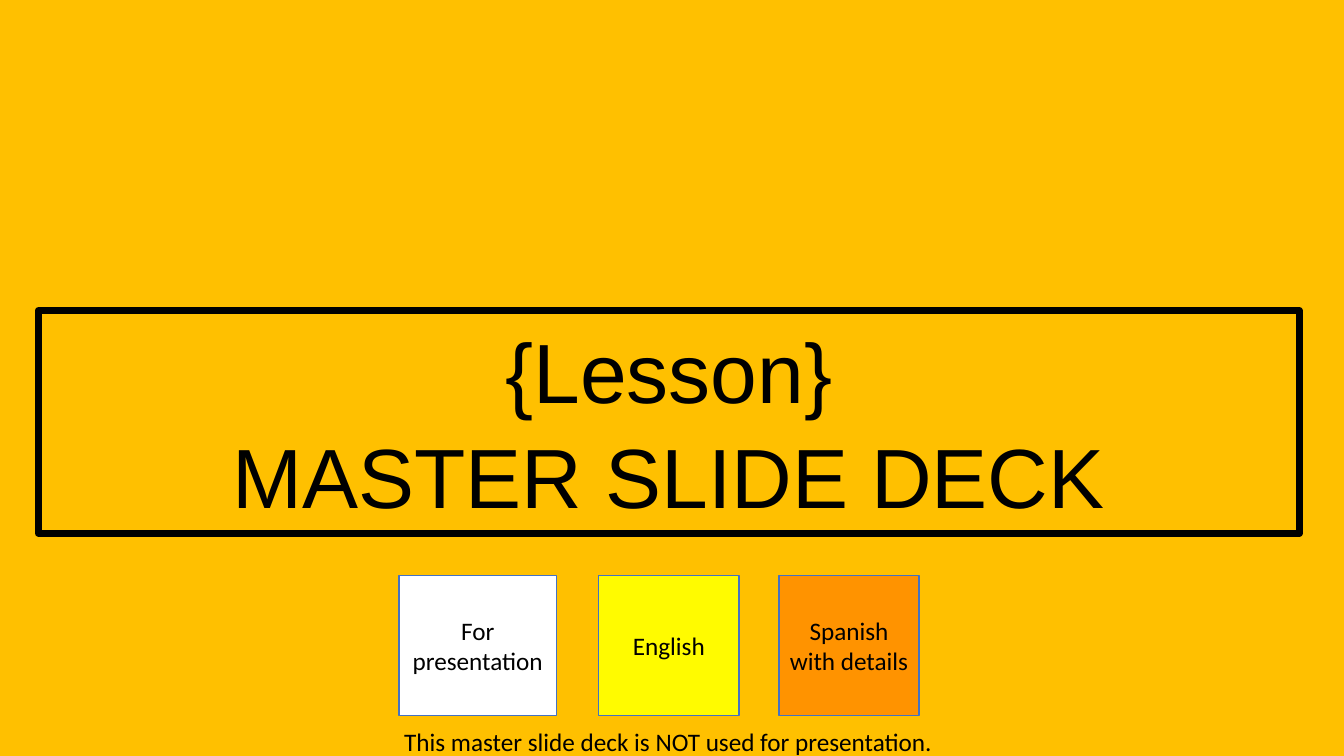
from dataclasses import dataclass
from typing import Optional

import lxml.etree
import pptx
import pptx.dml.color
import pptx.enum.shapes
import pptx.enum.text
import pptx.oxml.ns
import pptx.util

Pt = pptx.util.Pt
PP_ALIGN = pptx.enum.text.PP_ALIGN
MSO_ANCHOR = pptx.enum.text.MSO_ANCHOR


@dataclass
class Box:
    """A rectangle with text; lengths in points."""
    text: str
    left: float
    top: float
    width: float
    height: float
    fill: Optional[str]
    line: str = "4472C4"
    line_width: float = 1
    font: str = "Calibri"
    size: float = 18
    anchor: MSO_ANCHOR = MSO_ANCHOR.MIDDLE
    margins: tuple[float, float, float, float] = (3.6, 3.6, 3.6, 3.6)


def color(value: str) -> pptx.dml.color.RGBColor:
    return pptx.dml.color.RGBColor.from_string(value)


def format_text(shape, text: str, font: str, size: float, align: PP_ALIGN,
                margins: tuple[float, float, float, float]) -> None:
    text_frame = shape.text_frame
    text_frame.text = text
    (text_frame.margin_left, text_frame.margin_top,
     text_frame.margin_right, text_frame.margin_bottom) = map(Pt, margins)
    for paragraph in text_frame.paragraphs:
        paragraph.alignment = align
        for run in paragraph.runs:
            run.font.name = font
            run.font.size = Pt(size)
            run.font.color.rgb = color("000000")


def draw_box(slide, box: Box):
    shape = slide.shapes.add_shape(
        pptx.enum.shapes.MSO_SHAPE.RECTANGLE,
        Pt(box.left), Pt(box.top), Pt(box.width), Pt(box.height))
    shape.shadow.inherit = False
    if box.fill is None:
        shape.fill.background()
    else:
        shape.fill.solid()
        shape.fill.fore_color.rgb = color(box.fill)
    shape.line.color.rgb = color(box.line)
    shape.line.width = Pt(box.line_width)
    format_text(shape, box.text, box.font, box.size, PP_ALIGN.CENTER, box.margins)
    shape.text_frame.word_wrap = True
    shape.text_frame.vertical_anchor = box.anchor
    return shape


def draw_title(slide) -> None:
    shape = draw_box(slide, Box(
        "{Lesson}\nMASTER SLIDE DECK", 27.4, 221.8, 900.7, 159.1, None,
        "000000", 5, "Arial", 60, MSO_ANCHOR.TOP, (7.2, 14.4, 7.2, 3.6)))
    for paragraph in shape.text_frame.paragraphs:
        paragraph.line_spacing = 0.9
        paragraph.space_before = Pt(10)
    # Rounded line corners
    outline = shape.line._get_or_add_ln()
    lxml.etree.SubElement(outline, pptx.oxml.ns.qn("a:round"))


def draw_note(slide) -> None:
    note = slide.shapes.add_textbox(Pt(285.1), Pt(515.5), Pt(389.5), Pt(26))
    format_text(note, "This master slide deck is NOT used for presentation.",
                "Calibri", 18, PP_ALIGN.LEFT, (3.6, 3.6, 3.6, 3.6))
    note.text_frame.word_wrap = False


def main() -> None:
    presentation = pptx.Presentation()
    presentation.slide_width, presentation.slide_height = Pt(960), Pt(540)
    slide = presentation.slides.add_slide(presentation.slide_layouts[6])
    slide.background.fill.solid()
    slide.background.fill.fore_color.rgb = color("FFC000")

    draw_title(slide)

    # Colour key
    key_top, key_side = 411.1, 100.1
    for box in (
        Box("For presentation", 285.1, key_top, 112.3, key_side, "FFFFFF"),
        Box("English", 427.7, key_top, key_side, key_side, "FFFB00"),
        Box("Spanish with details", 556.4, key_top, key_side, key_side, "FF9300"),
    ):
        draw_box(slide, box)

    draw_note(slide)
    presentation.save("out.pptx")


if __name__ == "__main__":
    main()
